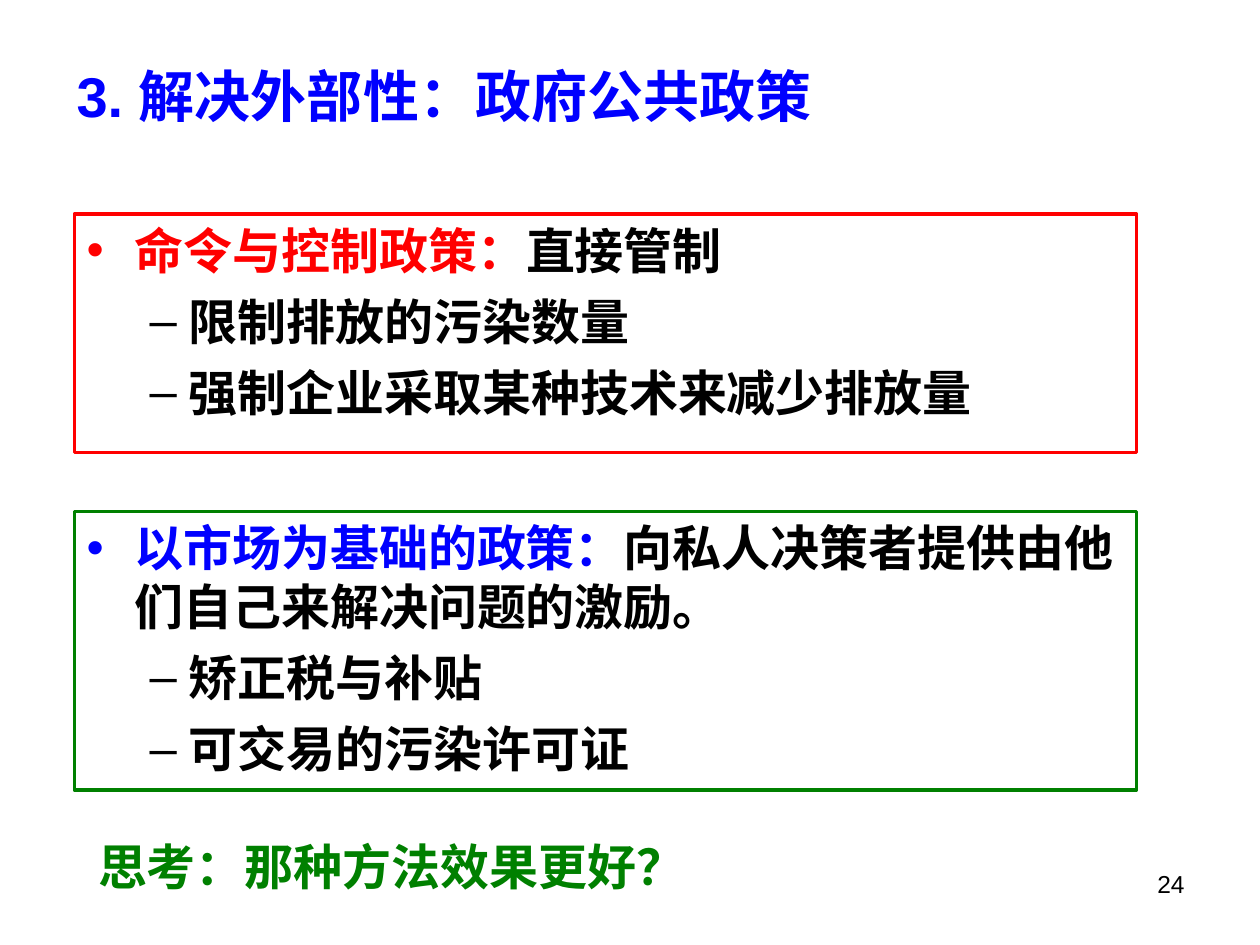
from lxml.etree import SubElement as Sub
from pptx import Presentation
from pptx.dml.color import RGBColor as RGB
from pptx.enum.shapes import MSO_SHAPE as Shape
from pptx.enum.text import MSO_ANCHOR as Anchor, PP_ALIGN as Align
from pptx.oxml.ns import qn
from pptx.util import Inches, Pt

BLACK = RGB(0, 0, 0)
RED = RGB(255, 0, 0)
BLUE = RGB(0, 0, 255)
GREEN = RGB(0, 128, 0)
FONT = "Arial"


def add_run(para, text, color, size=28, bold=True):
    """Add one styled run to a paragraph."""
    run = para.add_run()
    run.text = text
    font = run.font
    font.name, font.size, font.bold = FONT, Pt(size), bold
    font.color.rgb = color
    Sub(font._element, qn("a:ea"), typeface=FONT)


def add_mark(para, mark, color, left, hang):
    """Give a paragraph a coloured bullet and a hanging indent."""
    props = para._p.get_or_add_pPr()
    props.set("marL", str(Inches(left)))
    props.set("indent", str(-Inches(hang)))
    tint = Sub(props, qn("a:buClr"))
    Sub(tint, qn("a:srgbClr"), val=str(color))
    Sub(props, qn("a:buFont"), typeface=FONT)
    Sub(props, qn("a:buChar"), char=mark)


def add_line(slide, box, text, color, size=28, bold=True, align=Align.LEFT, wrap=True):
    """Place a single line of text in a box."""
    frame = slide.shapes.add_textbox(*map(Inches, box)).text_frame
    frame.word_wrap = wrap
    frame.vertical_anchor = Anchor.MIDDLE
    para = frame.paragraphs[0]
    para.alignment = align
    add_run(para, text, color, size, bold)


def add_panel(slide, box, edge, tint, head, body, items):
    """Place an outlined panel with a lead bullet and dashed items."""
    panel = slide.shapes.add_shape(Shape.RECTANGLE, *map(Inches, box))
    panel.shadow.inherit = False
    panel.fill.background()
    panel.line.color.rgb = edge
    panel.line.width = Pt(2)
    frame = panel.text_frame
    frame.word_wrap = True
    frame.vertical_anchor = Anchor.TOP
    lead = frame.paragraphs[0]
    lead.alignment = Align.LEFT
    add_mark(lead, "•", tint, 0.38, 0.38)
    add_run(lead, head, tint)
    add_run(lead, body, BLACK)
    for item in items:
        para = frame.add_paragraph()
        para.alignment = Align.LEFT
        para.level = 1
        para.space_before = Pt(7)
        add_mark(para, "–", BLACK, 0.81, 0.31)
        add_run(para, item, BLACK)


def main():
    """Build the slide and save it."""
    deck = Presentation()
    deck.slide_width, deck.slide_height = Inches(10), Inches(7.5)
    slide = deck.slides.add_slide(deck.slide_layouts[6])
    add_line(slide, (0.51, 0.28, 9, 0.95), "3. 解决外部性：政府公共政策", BLUE, 32)
    add_panel(slide, (0.59, 1.7, 8.43, 1.89), RED, RED,
              "命令与控制政策：", "直接管制",
              ["限制排放的污染数量", "强制企业采取某种技术来减少排放量"])
    add_panel(slide, (0.59, 4.06, 8.43, 2.21), GREEN, BLUE,
              "以市场为基础的政策：", "向私人决策者提供由他们自己来解决问题的激励。",
              ["矫正税与补贴", "可交易的污染许可证"])
    add_line(slide, (0.68, 6.59, 4.86, 0.57), "思考：那种方法效果更好？", GREEN, wrap=False)
    add_line(slide, (7.17, 6.75, 2.33, 0.52), "24", BLACK, 14, False, Align.RIGHT)
    deck.save("out.pptx")


if __name__ == "__main__":
    main()
